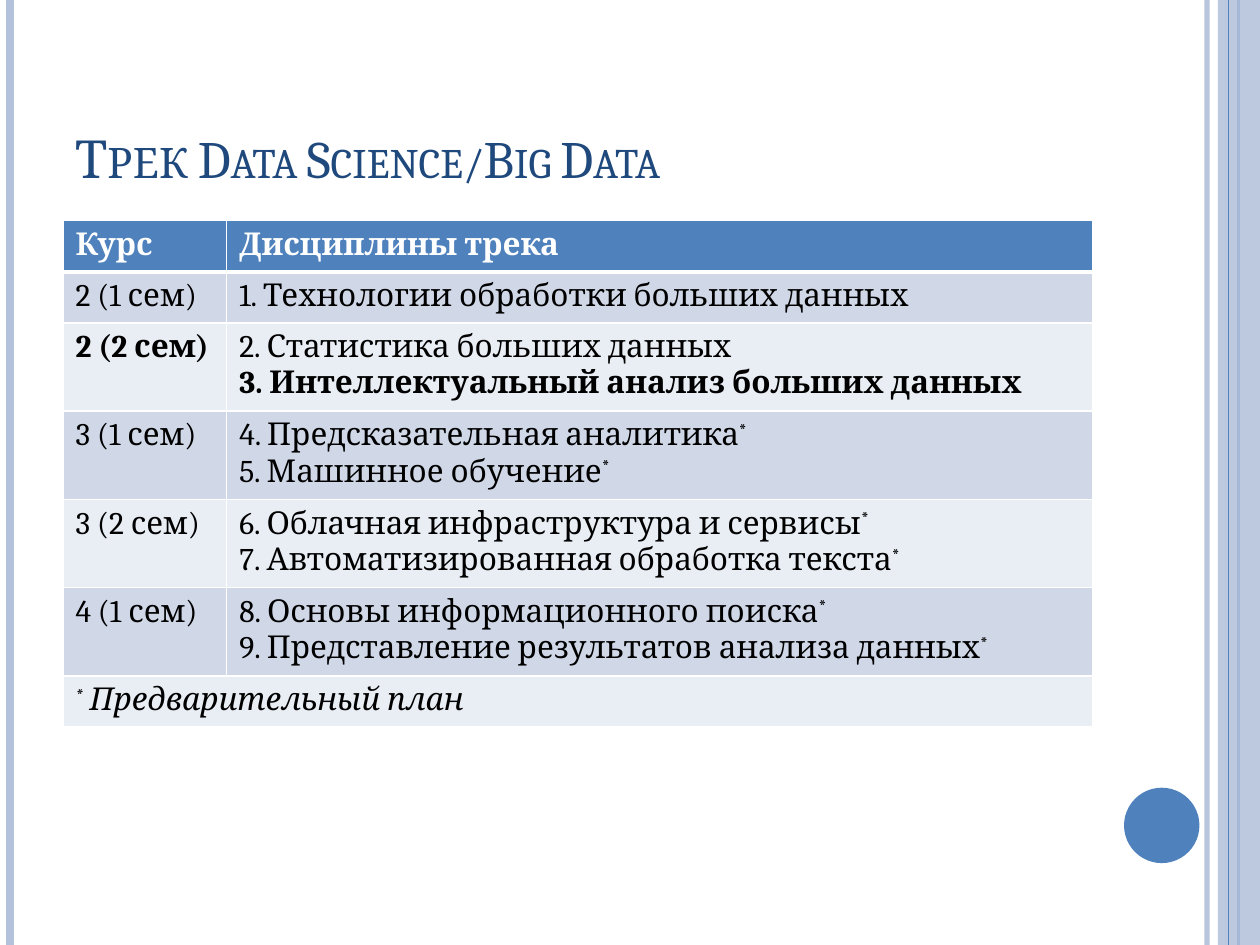
from lxml import etree
from pptx import Presentation
from pptx import util as u
from pptx.dml.color import RGBColor
from pptx.enum import shapes, text
from pptx.oxml.ns import qn

FONT = "Cambria"
BLUE, PALE, NAVY = "4F81BD", "B3C1DB", "1F497D"
WHITE, BLACK = "FFFFFF", "000000"
BANDS = ["D0D8E8", "E9EDF4"]
WIDE, HIGH = 25.4, 19.05

# Course, its subjects, whether the course is bold;
# "\n" starts a paragraph, "\v" breaks a line, "*" is raised
ROWS = [
    ("2 (1 сем)", "1. Технологии обработки больших данных", False),
    ("2 (2 сем)", "2. Статистика больших данных\v"
     "3. Интеллектуальный анализ больших данных", True),
    ("3 (1 сем)", "4. Предсказательная аналитика*\n5. Машинное обучение*", False),
    ("3 (2 сем)", "6. Облачная инфраструктура и сервисы*\v"
     "7. Автоматизированная обработка текста*", False),
    ("4 (1 сем)", "8. Основы информационного поиска*\v"
     "9. Представление результатов анализа данных*", False),
]
NOTE = "* Предварительный план"


def tint(color, code, alpha=None):
    color.rgb = RGBColor.from_string(code)
    if alpha:
        node = color._xFill.find(qn("a:srgbClr"))
        etree.SubElement(node, qn("a:alpha"), val=str(alpha * 1000))


def paint(fill, code, alpha=None):
    fill.solid()
    tint(fill.fore_color, code, alpha)


def add_run(par, words, size=18, color=BLACK, bold=False, italic=False,
            caps=False, base=0):
    run = par.add_run()
    run.text = words
    font = run.font
    font.name, font.size = FONT, u.Pt(size)
    font.bold, font.italic = bold, italic
    paint(font.fill, color)
    props = run._r.get_or_add_rPr()
    if caps:
        props.set("cap", "small")
    if base:
        props.set("baseline", str(base * 1000))


def write(frame, words, bold_last=False, **form):
    for i, block in enumerate(words.split("\n")):
        par = frame.add_paragraph() if i else frame.paragraphs[0]
        for j, line in enumerate(block.split("\v")):
            if j:
                par.add_line_break()
                form["bold"] = bold_last
            for k, part in enumerate(line.split("*")):
                if k:
                    add_run(par, "*", base=30, **form)
                if part:
                    add_run(par, part, **form)


def add_bar(slide, x, color, width, alpha=None):
    bar = slide.shapes.add_connector(
        shapes.MSO_CONNECTOR.STRAIGHT, u.Cm(x), 0, u.Cm(x), u.Cm(HIGH))
    paint(bar.line.fill, color, alpha)
    bar.line.width = u.Pt(width)
    etree.SubElement(bar._element.spPr, qn("a:effectLst"))


def add_form(slide, kind, x, y, w, h, color, alpha=None):
    form = slide.shapes.add_shape(kind, u.Cm(x), u.Cm(y), u.Cm(w), u.Cm(h))
    form.shadow.inherit = False
    paint(form.fill, color, alpha)
    form.line.fill.background()


def add_title(slide, words):
    box = slide.shapes.add_textbox(u.Cm(1.27), u.Cm(0.76), u.Cm(20.75), u.Cm(3.18))
    frame = box.text_frame
    frame.word_wrap = True
    frame.vertical_anchor = text.MSO_ANCHOR.BOTTOM
    write(frame, words, size=30, color=NAVY, caps=True)


def dress(cell, code, low=1):
    props = cell._tc.get_or_add_tcPr()
    for side, width in (("L", 1), ("R", 1), ("T", 1), ("B", low)):
        edge = etree.SubElement(props, qn("a:ln" + side), w=str(u.Pt(width)))
        fill = etree.SubElement(edge, qn("a:solidFill"))
        etree.SubElement(fill, qn("a:srgbClr"), val=WHITE)
    paint(cell.fill, code)


def add_plan(slide):
    count = len(ROWS) + 2
    grid = slide.shapes.add_table(
        count, 2, u.Cm(1.27), u.Cm(4.45), u.Cm(20.75), u.Cm(10)).table
    for col, width in zip(grid.columns, (3.3, 17.45)):
        col.width = u.Cm(width)
    for row in grid.rows:
        row.height = u.Cm(1.03)

    # Header
    for cell, words in zip(grid.rows[0].cells, ("Курс", "Дисциплины трека")):
        dress(cell, BLUE, low=3)
        write(cell.text_frame, words, color=WHITE, bold=True)

    # Courses
    for i, (course, topics, bold) in enumerate(ROWS, 1):
        left, right = grid.rows[i].cells
        if len(topics.splitlines()) > 1:
            grid.rows[i].height = u.Cm(1.73)
        for cell in (left, right):
            dress(cell, BANDS[(i - 1) % 2])
        write(left.text_frame, course, bold=bold)
        write(right.text_frame, topics, bold_last=bold)

    # Footnote across both columns
    left, right = grid.rows[count - 1].cells
    for cell in (left, right):
        dress(cell, BANDS[(count - 2) % 2])
    left.merge(right)
    write(left.text_frame, NOTE, italic=True)


def main():
    deck = Presentation()
    deck.slide_width, deck.slide_height = u.Cm(WIDE), u.Cm(HIGH)
    slide = deck.slides.add_slide(deck.slide_layouts[6])

    # Side stripes and disc
    add_bar(slide, 24.33, PALE, 3, alpha=93)
    add_bar(slide, 0.21, PALE, 4.5)
    add_bar(slide, 24.97, BLUE, 1.5)
    add_form(slide, shapes.MSO_SHAPE.RECTANGLE, 24.55, 0, 0.85, HIGH, PALE, alpha=87)
    add_bar(slide, 24.77, BLUE, 0.75)
    add_form(slide, shapes.MSO_SHAPE.OVAL, 22.66, 15.88, 1.52, 1.52, BLUE)

    # Content
    add_title(slide, "Трек Data Science/Big Data")
    add_plan(slide)
    deck.save("out.pptx")


if __name__ == "__main__":
    main()
